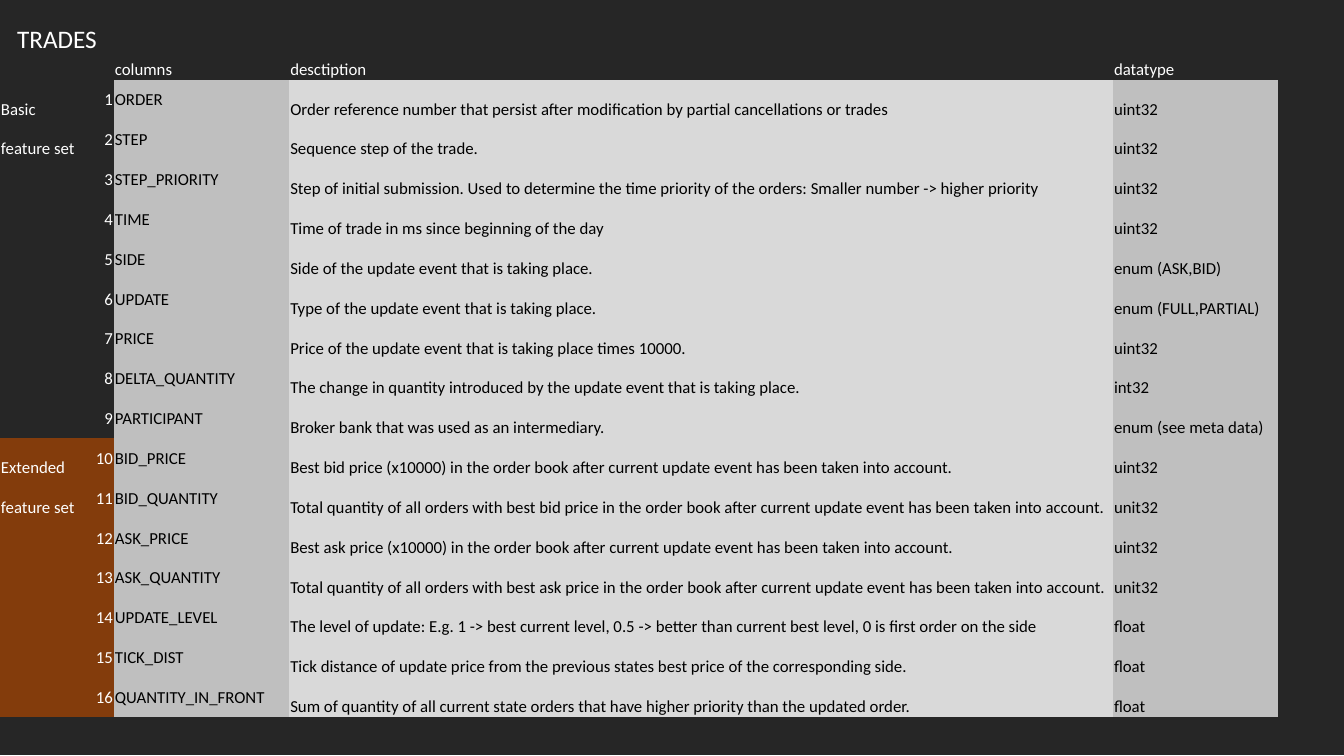
from dataclasses import dataclass

from pptx import Presentation
from pptx import util as u
from pptx.dml import color
from pptx.enum import text
from pptx.oxml import ns


@dataclass(frozen=True)
class Theme:
    font: str = "Calibri"
    title_size: int = 18
    body_size: int = 12
    dark: str = "262626"
    rust: str = "833C0C"
    grey: str = "BFBFBF"
    pale: str = "D9D9D9"
    light_text: str = "FFFFFF"
    dark_text: str = "000000"
    plain_table: str = "{2D5ABB26-0587-4C30-8999-92F81FD0307C}"


THEME = Theme()
LEFT, CENTER, RIGHT = text.PP_ALIGN.LEFT, text.PP_ALIGN.CENTER, text.PP_ALIGN.RIGHT
MIDDLE, BOTTOM = text.MSO_ANCHOR.MIDDLE, text.MSO_ANCHOR.BOTTOM

HEADINGS = ["columns", "desctiption", "datatype"]
FIELDS = [
    ("ORDER", "Order reference number that persist after modification by partial cancellations or trades", "uint32"),
    ("STEP", "Sequence step of the trade.", "uint32"),
    ("STEP_PRIORITY", "Step of initial submission. Used to determine the time priority of the orders: "
     "Smaller number -> higher priority", "uint32"),
    ("TIME", "Time of trade in ms since beginning of the day", "uint32"),
    ("SIDE", "Side of the update event that is taking place.", "enum (ASK,BID)"),
    ("UPDATE", "Type of the update event that is taking place.", "enum (FULL,PARTIAL)"),
    ("PRICE", "Price of the update event that is taking place times 10000.", "uint32"),
    ("DELTA_QUANTITY", "The change in quantity introduced by the update event that is taking place.", "int32"),
    ("PARTICIPANT", "Broker bank that was used as an intermediary.", "enum (see meta data)"),
    ("BID_PRICE", "Best bid price (x10000) in the order book after current update event "
     "has been taken into account.", "uint32"),
    ("BID_QUANTITY", "Total quantity of all orders with best bid price in the order book "
     "after current update event has been taken into account.", "unit32"),
    ("ASK_PRICE", "Best ask price (x10000) in the order book after current update event "
     "has been taken into account.", "uint32"),
    ("ASK_QUANTITY", "Total quantity of all orders with best ask price in the order book "
     "after current update event has been taken into account.", "unit32"),
    ("UPDATE_LEVEL", "The level of update: E.g. 1 -> best current level, 0.5 -> better than current best level, "
     "0 is first order on the side", "float"),
    ("TICK_DIST", "Tick distance of update price from the previous states best price "
     "of the corresponding side.", "float"),
    ("QUANTITY_IN_FRONT", "Sum of quantity of all current state orders that have higher priority "
     "than the updated order.", "float"),
]
FIRST_EXTENDED = 10
SET_LABELS = {1: "Basic", 2: "feature set", FIRST_EXTENDED: "Extended", FIRST_EXTENDED + 1: "feature set"}

COLUMN_WIDTHS = [0.79, 0.34, 1.74, 8.17, 1.64, 0.65]
FIELDS_BOTTOM = 7.12
HEADER_ROWS = 2


def write(cell, content, size=THEME.body_size, ink=THEME.light_text, align=LEFT, anchor=BOTTOM):
    cell.vertical_anchor = anchor
    paragraph = cell.text_frame.paragraphs[0]
    paragraph.alignment = align
    run = paragraph.add_run()
    run.text = content
    run.font.name = THEME.font
    run.font.size = u.Pt(size)
    run.font.color.rgb = color.RGBColor.from_string(ink)


class Deck:
    def __init__(self, theme, width, height):
        self.theme = theme
        self.presentation = Presentation()
        self.presentation.slide_width = u.Inches(width)
        self.presentation.slide_height = u.Inches(height)
        self.slide = self.presentation.slides.add_slide(self.presentation.slide_layouts[6])

    def table(self, widths, heights):
        frame = self.slide.shapes.add_table(
            len(heights), len(widths), 0, 0, u.Inches(sum(widths)), u.Inches(sum(heights)))
        grid = frame.table
        grid.first_row = grid.horz_banding = False
        frame.element.find(".//" + ns.qn("a:tableStyleId")).text = self.theme.plain_table
        for column, width in zip(grid.columns, widths):
            column.width = u.Inches(width)
        for row, height in zip(grid.rows, heights):
            row.height = u.Inches(height)
        for cell in grid.iter_cells():
            cell.margin_left = cell.margin_right = cell.margin_top = u.Inches(0.01)
            cell.margin_bottom = 0
            self.fill(cell, self.theme.dark)
        return grid

    def fill(self, cell, tint):
        cell.fill.solid()
        cell.fill.fore_color.rgb = color.RGBColor.from_string(tint)

    def field_row(self, grid, number, field):
        row = number + HEADER_ROWS - 1
        side = self.theme.rust if number >= FIRST_EXTENDED else self.theme.dark
        tints = [side, side, self.theme.grey, self.theme.pale, self.theme.grey]
        for column, tint in enumerate(tints):
            self.fill(grid.cell(row, column), tint)
        if number in SET_LABELS:
            write(grid.cell(row, 0), SET_LABELS[number])
        write(grid.cell(row, 1), str(number), align=RIGHT, anchor=MIDDLE)
        for column, (content, anchor) in enumerate(zip(field, [MIDDLE, BOTTOM, BOTTOM]), 2):
            write(grid.cell(row, column), content, ink=self.theme.dark_text, anchor=anchor)


deck = Deck(THEME, 13.33, 7.5)
row_count = HEADER_ROWS + len(FIELDS)
row_heights = [FIELDS_BOTTOM / row_count] * row_count + [7.5 - FIELDS_BOTTOM]
trades = deck.table(COLUMN_WIDTHS, row_heights)

trades.cell(0, 0).merge(trades.cell(1, 1))
write(trades.cell(0, 0), "TRADES", size=THEME.title_size, align=CENTER, anchor=MIDDLE)
for column, heading in enumerate(HEADINGS, 2):
    write(trades.cell(1, column), heading)
for number, field in enumerate(FIELDS, 1):
    deck.field_row(trades, number, field)

deck.presentation.save("out.pptx")
